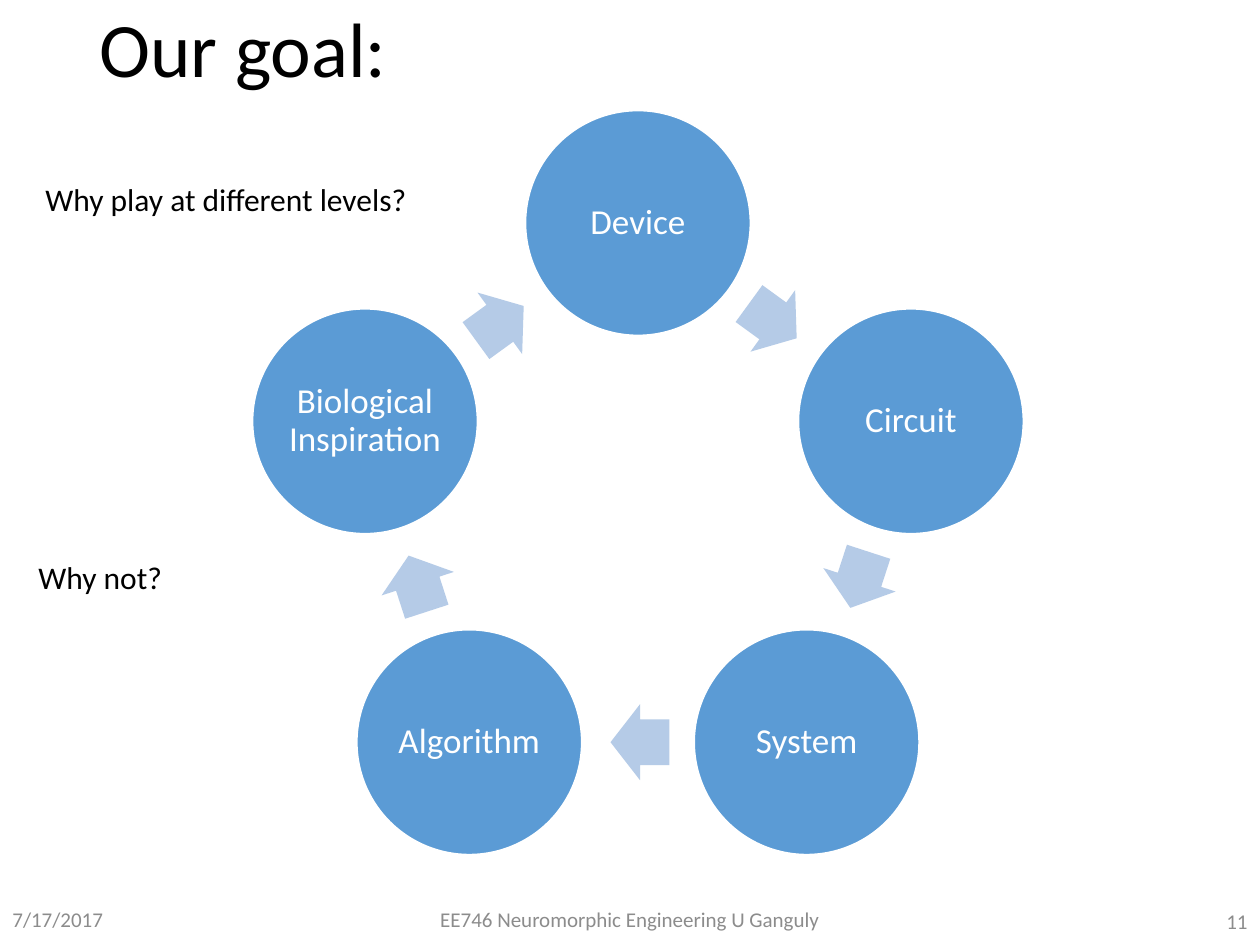
from math import cos, pi, radians, sin

from pptx import Presentation
from pptx.dml.color import RGBColor
from pptx.enum.shapes import MSO_SHAPE
from pptx.enum.text import MSO_ANCHOR, MSO_AUTO_SIZE, PP_ALIGN
from pptx.util import Emu, Pt

ELLIPSE, ARROW = MSO_SHAPE.OVAL, MSO_SHAPE.RIGHT_ARROW
LEFT, CENTER, RIGHT = PP_ALIGN.LEFT, PP_ALIGN.CENTER, PP_ALIGN.RIGHT
TOP, MIDDLE = MSO_ANCHOR.TOP, MSO_ANCHOR.MIDDLE
NO_AUTOFIT = MSO_AUTO_SIZE.NONE

FONT = "Calibri"
BLUE, PALE_BLUE = "5B9BD5", "B5CBE7"
WHITE, BLACK, GRAY = "FFFFFF", "000000", "8C8C8C"

STAGES = ["Device", "Circuit", "System", "Algorithm", "Biological Inspiration"]
CENTER_X, CENTER_Y, RADIUS = 638, 510, 287
CIRCLE_SIZE = 225
ARROW_W, ARROW_H, ARROW_SETBACK = 59, 76, 2


def px(n):
    return Emu(round(n * 914400 / 126))


def color(hex_code):
    return RGBColor.from_string(hex_code)


def write(tf, text, size, hex_code, align=LEFT, anchor=MIDDLE, spacing=1.0):
    tf.text = text
    tf.word_wrap = True
    tf.auto_size = NO_AUTOFIT
    tf.vertical_anchor = anchor
    p = tf.paragraphs[0]
    p.alignment = align
    p.line_spacing = spacing
    for r in p.runs:
        r.font.name = FONT
        r.font.size = Pt(size)
        r.font.color.rgb = color(hex_code)


def add_title(s, text, x, y, w, h):
    sp = s.shapes.title
    sp.left, sp.top, sp.width, sp.height = px(x), px(y), px(w), px(h)
    write(sp.text_frame, text, 44, BLACK, spacing=0.9)


def add_label(s, text, x, y, w, h, size, hex_code, align=LEFT, anchor=MIDDLE):
    sp = s.shapes.add_textbox(px(x), px(y), px(w), px(h))
    write(sp.text_frame, text, size, hex_code, align, anchor)


def add_centered_shape(s, kind, cx, cy, w, h, fill):
    sp = s.shapes.add_shape(kind, px(cx - w / 2), px(cy - h / 2), px(w), px(h))
    sp.shadow.inherit = False
    sp.fill.solid()
    sp.fill.fore_color.rgb = color(fill)
    return sp


def add_stage(s, text, cx, cy):
    sp = add_centered_shape(s, ELLIPSE, cx, cy, CIRCLE_SIZE, CIRCLE_SIZE, BLUE)
    sp.line.color.rgb = color(WHITE)
    sp.line.width = Pt(1)
    tf = sp.text_frame
    write(tf, text, 20, WHITE, CENTER, spacing=0.9)
    tf.margin_left = tf.margin_right = tf.margin_top = tf.margin_bottom = 0


def add_arrow(s, cx, cy, rotation):
    sp = add_centered_shape(s, ARROW, cx, cy, ARROW_W, ARROW_H, PALE_BLUE)
    sp.line.fill.background()
    sp.adjustments[0] = 0.6
    sp.adjustments[1] = 0.5
    sp.rotation = rotation


def add_cycle(s, stages):
    step = 360 / len(stages)
    apothem = RADIUS * cos(pi / len(stages))
    for i, text in enumerate(stages):
        a = radians(i * step)
        add_stage(s, text, CENTER_X + RADIUS * sin(a), CENTER_Y - RADIUS * cos(a))
        rotation = (i + 0.5) * step
        a = radians(rotation)
        add_arrow(s,
                  CENTER_X + apothem * sin(a) - ARROW_SETBACK * cos(a),
                  CENTER_Y - apothem * cos(a) - ARROW_SETBACK * sin(a),
                  rotation)


def main():
    prs = Presentation()
    prs.slide_width, prs.slide_height = px(1260), px(945)
    s = prs.slides.add_slide(prs.slide_layouts[5])
    add_title(s, "Our goal:", 87, 1, 1086, 103)
    add_label(s, "7/17/2017", 0, 894, 284, 50, 12, GRAY)
    add_label(s, "EE746 Neuromorphic Engineering U Ganguly",
              417, 894, 426, 50, 12, GRAY, CENTER)
    add_label(s, "11", 976, 896, 284, 50, 12, GRAY, RIGHT)
    add_cycle(s, STAGES)
    add_label(s, "Why play at different levels?", 33, 174, 400, 50, 18, BLACK, anchor=TOP)
    add_label(s, "Why not?", 26, 552, 160, 50, 18, BLACK, anchor=TOP)
    prs.save("out.pptx")


if __name__ == "__main__":
    main()
